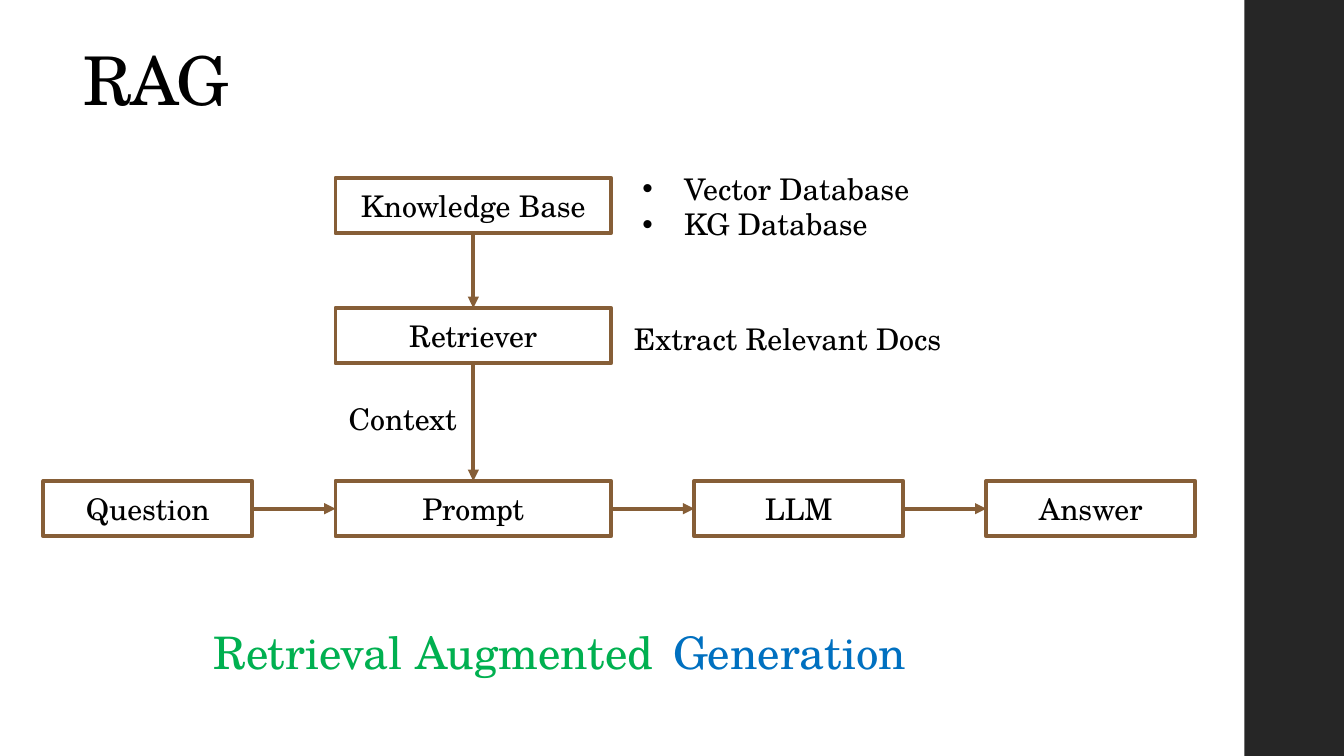
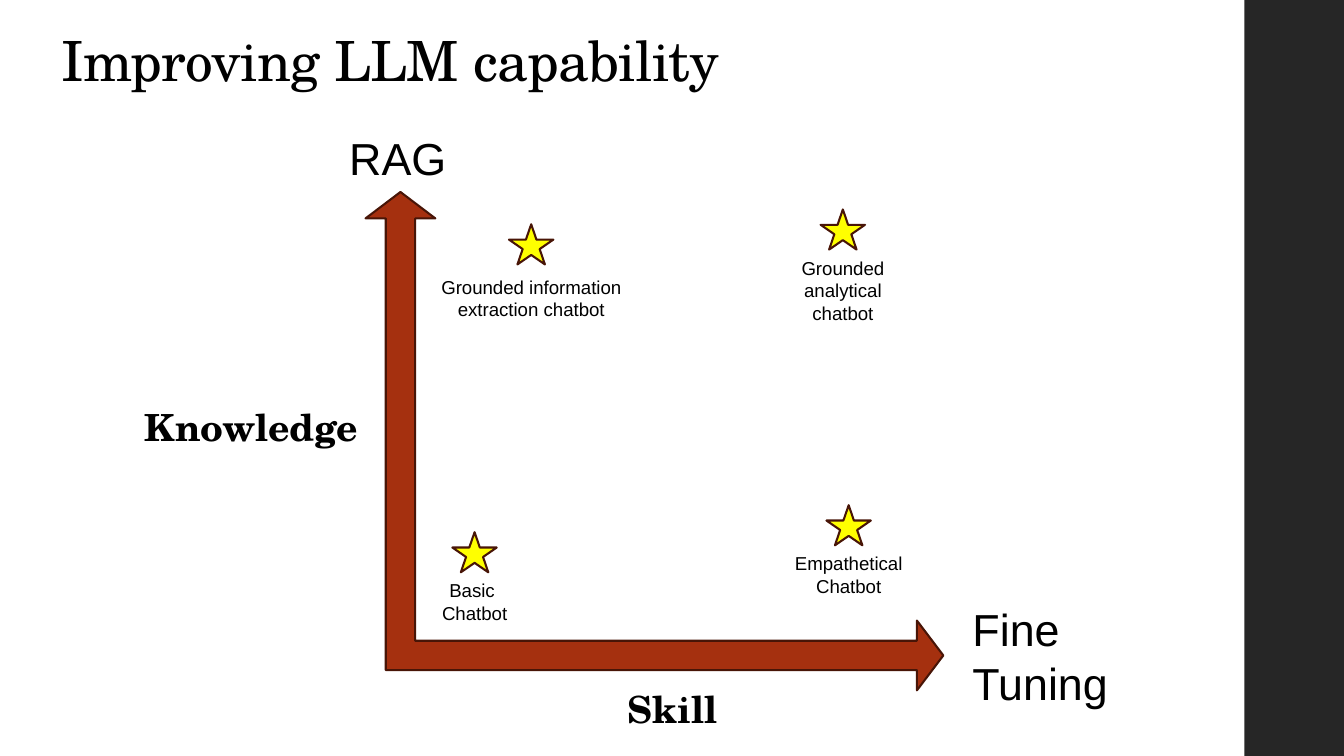
"""Build two slides: the RAG pipeline and the axes of LLM capability."""
from dataclasses import dataclass

from lxml.etree import SubElement
from pptx import Presentation
from pptx.dml.color import RGBColor
from pptx.enum.shapes import MSO_AUTO_SHAPE_TYPE as Preset, MSO_CONNECTOR_TYPE as Link
from pptx.enum.text import MSO_AUTO_SIZE as Fit, MSO_VERTICAL_ANCHOR as Anchor
from pptx.enum.text import PP_PARAGRAPH_ALIGNMENT as Align
from pptx.oxml.ns import qn
from pptx.shapes.autoshape import Shape
from pptx.slide import Slide
from pptx.util import Cm, Pt

SERIF, SANS = "TeX Gyre Schola", "Arial"
BLACK, WHITE, BAND = "000000", "FFFFFF", "262626"
BROWN, RUST, DARK_RUST, YELLOW = "865E37", "A5300F", "481507", "FFFF00"
GREEN, BLUE = "00B050", "0070C0"
WIDTH, HEIGHT = 25.4, 14.29
MARGIN = 0.25
BULLET_INDENT = 0.79

STAGE_HEIGHT = 1.05
SIDE_WIDTH, CORE_WIDTH = 3.95, 5.21
STAGE_GAP = 1.57
FLOW_LEFT, FLOW_TOP = 0.82, 9.09
CORE_LEFT = FLOW_LEFT + SIDE_WIDTH + STAGE_GAP
KNOWLEDGE_TOP, RETRIEVER_TOP = 3.36, 5.82
TOP, LEFT, BOTTOM, RIGHT = range(4)

STAR_WIDTH, STAR_HEIGHT = 0.84, 0.76


@dataclass(frozen=True)
class TextStyle:
    """Look of a block of text."""

    size: float
    face: str = SERIF
    color: str = BLACK
    bold: bool = False
    align: Align = Align.LEFT
    anchor: Anchor = Anchor.MIDDLE
    line_spacing: float | None = None
    space_after: float | None = None
    tracking: int | None = None
    inset: float = 0.13
    bulleted: bool = False
    grows: bool = False


@dataclass(frozen=True)
class Label:
    """Free-standing text with its place in centimetres."""

    text: str
    left: float
    top: float
    width: float
    height: float
    style: TextStyle


@dataclass(frozen=True)
class Chatbot:
    """A starred kind of chatbot, centred on one vertical line."""

    caption: str
    center: float
    top: float
    width: float
    height: float = 1.12
    gap: float = 0


def heading(size: float, color: str = BLACK, tracking: int | None = None) -> TextStyle:
    """Return the top-anchored, tightly set display style."""
    return TextStyle(size, color=color, anchor=Anchor.TOP, line_spacing=0.9,
                     tracking=tracking, inset=MARGIN)


STAGE_STYLE = TextStyle(16, align=Align.CENTER)
NOTE_STYLE = TextStyle(16)
LIST_STYLE = TextStyle(16, bulleted=True)
AXIS_STYLE = TextStyle(20, bold=True, align=Align.CENTER)
METHOD_STYLE = TextStyle(24, SANS, anchor=Anchor.TOP, space_after=12, grows=True)
CAPTION_STYLE = TextStyle(10, SANS, align=Align.CENTER, anchor=Anchor.TOP,
                          space_after=12, grows=True)

RAG_LABELS = (
    Label("RAG", 1.32, 0.64, 21.69, 1.8, heading(36, tracking=-40)),
    Label("Vector Database\nKG Database", 11.89, 2.84, 6.02, 2.11, LIST_STYLE),
    Label("Extract Relevant Docs", 11.73, 5.74, 7.9, 1.32, NOTE_STYLE),
    Label("Context", CORE_LEFT, 6.86, 3.48, 2.11, NOTE_STYLE),
    Label("Retrieval Augmented", 3.78, 11.68, 9.47, 2.29, heading(24, GREEN)),
    Label("Generation", 12.47, 11.68, 6.63, 2.29, heading(24, BLUE)),
)
CAPABILITY_LABELS = (
    Label("Improving LLM capability", 0.91, 0.38, 13.41, 1.6, heading(29.7, tracking=-40)),
    Label("Skill", 11.25, 12.88, 2.92, 1.04, AXIS_STYLE),
    Label("Knowledge", 2.29, 7.54, 4.93, 1.04, AXIS_STYLE),
    Label("RAG", 6.35, 2.34, 2.97, 1.27, METHOD_STYLE),
    Label("Fine Tuning", 18.13, 11.25, 4.42, 2.31, METHOD_STYLE),
)
CHATBOTS = (
    Chatbot("Basic \vChatbot", 8.97, 10.06, 2.97),
    Chatbot("Grounded information extraction chatbot", 10.04, 4.24, 4.01, gap=0.08),
    Chatbot("Empathetical Chatbot", 16.04, 9.55, 2.97),
    Chatbot("Grounded analytical chatbot", 15.93, 3.96, 3.2, height=1.55),
)


def rgb(color: str) -> RGBColor:
    """Turn a hex string into a colour."""
    return RGBColor.from_string(color)


def write(holder: Shape, text: str, style: TextStyle) -> None:
    """Fill a shape with styled text, one paragraph per line."""
    frame = holder.text_frame
    frame.text = text
    frame.word_wrap = True
    frame.auto_size = Fit.SHAPE_TO_FIT_TEXT if style.grows else Fit.NONE
    frame.vertical_anchor = style.anchor
    frame.margin_left = frame.margin_right = Cm(MARGIN)
    frame.margin_top = frame.margin_bottom = Cm(style.inset)
    for paragraph in frame.paragraphs:
        properties = paragraph._p.get_or_add_pPr()
        if style.bulleted:
            properties.set("marL", str(Cm(BULLET_INDENT)))
            properties.set("indent", str(-Cm(BULLET_INDENT)))
            SubElement(properties, qn("a:buFont"), typeface=SANS)
            SubElement(properties, qn("a:buChar"), char="•")
        paragraph.alignment = style.align
        if style.line_spacing is not None:
            paragraph.line_spacing = style.line_spacing
        if style.space_after is not None:
            paragraph.space_after = Pt(style.space_after)
        font = paragraph.font
        font.name, font.size, font.bold = style.face, Pt(style.size), style.bold
        font.color.rgb = rgb(style.color)
        if style.tracking is not None:
            properties.find(qn("a:defRPr")).set("spc", str(style.tracking))


def add_label(shapes, label: Label) -> None:
    """Draw free-standing text."""
    holder = shapes.add_textbox(Cm(label.left), Cm(label.top), Cm(label.width), Cm(label.height))
    write(holder, label.text, label.style)


def add_figure(shapes, preset: Preset, left: float, top: float, width: float, height: float,
               fill: str | None = None, line: str | None = None, weight: float = 1.1) -> Shape:
    """Draw a preset shape with an optional fill and outline."""
    figure = shapes.add_shape(preset, Cm(left), Cm(top), Cm(width), Cm(height))
    figure.shadow.inherit = False
    if fill:
        figure.fill.solid()
        figure.fill.fore_color.rgb = rgb(fill)
    else:
        figure.fill.background()
    if line:
        figure.line.color.rgb = rgb(line)
        figure.line.width = Pt(weight)
    else:
        figure.line.fill.background()
    return figure


def add_stage(slide: Slide, name: str, left: float, top: float, width: float) -> Shape:
    """Draw one named stage of the pipeline."""
    stage = add_figure(slide.shapes, Preset.RECTANGLE, left, top, width, STAGE_HEIGHT,
                       line=BROWN, weight=2)
    write(stage, name, STAGE_STYLE)
    return stage


def add_arrow(slide: Slide, source: Shape, exit_side: int, target: Shape, entry_side: int) -> None:
    """Join two stages with an arrow."""
    arrow = slide.shapes.add_connector(Link.STRAIGHT, 0, 0, 0, 0)
    arrow.begin_connect(source, exit_side)
    arrow.end_connect(target, entry_side)
    arrow.line.color.rgb = rgb(BROWN)
    arrow.line.width = Pt(2)
    SubElement(arrow.line._get_or_add_ln(), qn("a:tailEnd"), type="triangle")
    SubElement(arrow._element.spPr, qn("a:effectLst"))


def add_chatbot(slide: Slide, chatbot: Chatbot) -> None:
    """Draw a star grouped with its caption."""
    shapes = slide.shapes.add_group_shape().shapes
    add_figure(shapes, Preset.STAR_5_POINT, chatbot.center - STAR_WIDTH / 2, chatbot.top,
               STAR_WIDTH, STAR_HEIGHT, YELLOW, DARK_RUST)
    add_label(shapes, Label(chatbot.caption, chatbot.center - chatbot.width / 2,
                            chatbot.top + STAR_HEIGHT + chatbot.gap,
                            chatbot.width, chatbot.height, CAPTION_STYLE))


def start_slide(deck, labels: tuple[Label, ...]) -> Slide:
    """Add a blank slide with the side band and its labels."""
    slide = deck.slides.add_slide(deck.slide_layouts[6])
    slide.background.fill.solid()
    slide.background.fill.fore_color.rgb = rgb(WHITE)
    band_left = 23.52
    add_figure(slide.shapes, Preset.RECTANGLE, band_left, 0, WIDTH - band_left, HEIGHT, BAND)
    for label in labels:
        add_label(slide.shapes, label)
    return slide


def build_rag(deck) -> None:
    """Build the retrieval pipeline slide."""
    slide = start_slide(deck, RAG_LABELS)
    knowledge = add_stage(slide, "Knowledge Base", CORE_LEFT, KNOWLEDGE_TOP, CORE_WIDTH)
    retriever = add_stage(slide, "Retriever", CORE_LEFT, RETRIEVER_TOP, CORE_WIDTH)
    flow, left = [], FLOW_LEFT
    for name in ("Question", "Prompt", "LLM", "Answer"):
        width = CORE_WIDTH if name == "Prompt" else SIDE_WIDTH
        flow.append(add_stage(slide, name, left, FLOW_TOP, width))
        left += width + STAGE_GAP
    for source, target in ((knowledge, retriever), (retriever, flow[1])):
        add_arrow(slide, source, BOTTOM, target, TOP)
    for source, target in zip(flow, flow[1:]):
        add_arrow(slide, source, RIGHT, target, LEFT)


def build_capability(deck) -> None:
    """Build the knowledge and skill axes slide."""
    slide = start_slide(deck, CAPABILITY_LABELS)
    axes = add_figure(slide.shapes, Preset.LEFT_UP_ARROW, 6.91, 3.63, 10.92, 9.42,
                      RUST, DARK_RUST)
    for index, value in enumerate((0.059, 0.07, 0.053)):
        axes.adjustments[index] = value
    axes._element.spPr.find(qn("a:xfrm")).set("flipH", "1")
    for chatbot in CHATBOTS:
        add_chatbot(slide, chatbot)


def main() -> None:
    """Build and save the deck."""
    deck = Presentation()
    deck.slide_width, deck.slide_height = Cm(WIDTH), Cm(HEIGHT)
    build_rag(deck)
    build_capability(deck)
    deck.save("out.pptx")


if __name__ == "__main__":
    main()
